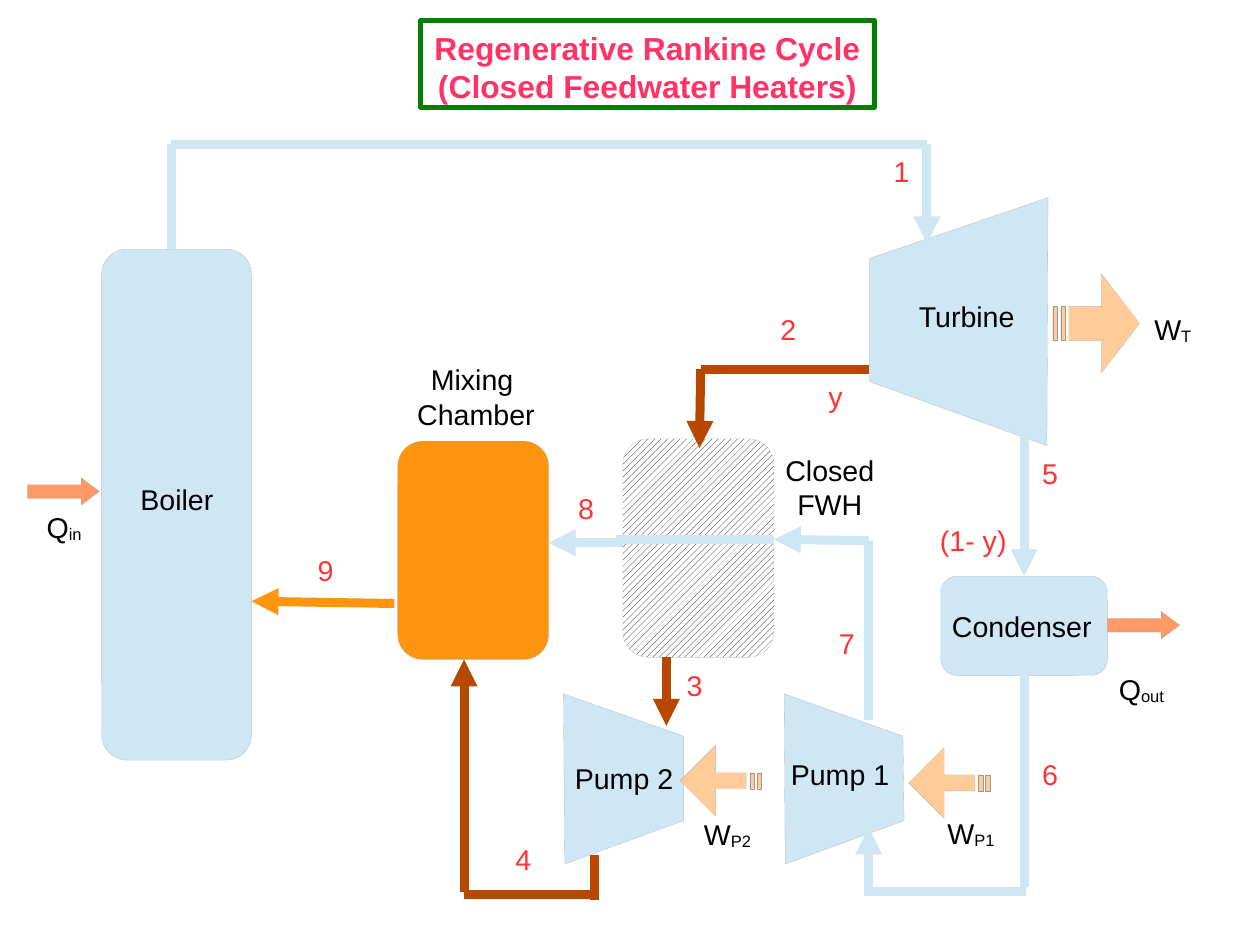
import pptx
import pptx.util
import pptx.dml.color
import pptx.enum.dml
import pptx.enum.shapes
import pptx.enum.text
import pptx.oxml.ns
import lxml.etree

PX = 9144  # 100 px to the inch
FONT = "Arial"
COLORS = {
    "steam": "CFE7F5", "bleed": "B84700", "mix": "FF950E", "work": "FFCC99",
    "heat": "FF9966", "edge": "999999", "state": "FF3333", "text": "000000",
    "title": "FF3366", "frame": "008000", "white": "FFFFFF",
}
KIND = pptx.enum.shapes.MSO_SHAPE


def rgb(name):
    return pptx.dml.color.RGBColor.from_string(COLORS[name])


def pipe(color, x1, y1, x2, y2, arrow):
    line = shapes.add_connector(
        pptx.enum.shapes.MSO_CONNECTOR.STRAIGHT, x1 * PX, y1 * PX, x2 * PX, y2 * PX)
    line.line.color.rgb = rgb(color)
    line.line.width = pptx.util.Pt(5.67)
    if arrow:
        stroke = line.line._get_or_add_ln()
        lxml.etree.SubElement(stroke, pptx.oxml.ns.qn("a:tailEnd"), type="triangle")
    lxml.etree.SubElement(line._element.spPr, pptx.oxml.ns.qn("a:effectLst"))
    return line


deck = pptx.Presentation()
deck.slide_width = pptx.util.Cm(28)
deck.slide_height = pptx.util.Cm(21)
slide = deck.slides.add_slide(deck.slide_layouts[5])
shapes = slide.shapes

# Title
title = shapes.title
title.left, title.top, title.width, title.height = 368 * PX, 18 * PX, 397 * PX, 76 * PX
title.line.color.rgb = rgb("frame")
title.line.width = pptx.util.Pt(2.83)
frame = title.text_frame
frame.text = "Regenerative Rankine Cycle\n(Closed Feedwater Heaters)"
frame.word_wrap = False
frame.auto_size = pptx.enum.text.MSO_AUTO_SIZE.NONE
frame.vertical_anchor = pptx.enum.text.MSO_ANCHOR.TOP
frame.margin_left = frame.margin_right = 12 * PX
frame.margin_top = frame.margin_bottom = 7 * PX
for para in frame.paragraphs:
    para.alignment = pptx.enum.text.PP_ALIGN.CENTER
    para.font.name = FONT
    para.font.size = pptx.util.Pt(20)
    para.font.bold = True
    para.font.color.rgb = rgb("title")

# Vessels and heat arrows
parts = {}
for name, kind, color, x, y, w, h in [
    ("boiler", KIND.ROUNDED_RECTANGLE, "steam", 89, 218, 131, 447),
    ("mixer", KIND.ROUNDED_RECTANGLE, "mix", 348, 386, 132, 191),
    ("heater", KIND.ROUNDED_RECTANGLE, "white", 545, 384, 132, 191),
    ("cooler", KIND.ROUNDED_RECTANGLE, "steam", 823, 504, 146, 87),
    ("heat in", KIND.RIGHT_ARROW, "heat", 24, 418, 63, 24),
    ("heat out", KIND.RIGHT_ARROW, "heat", 969, 535, 63, 24),
]:
    part = shapes.add_shape(kind, x * PX, y * PX, w * PX, h * PX)
    if kind == KIND.RIGHT_ARROW:
        part.adjustments[1] = 0.667
    part.fill.solid()
    part.fill.fore_color.rgb = rgb(color)
    parts[name] = part
hatch = parts["heater"].fill
hatch.patterned()
hatch.pattern = pptx.enum.dml.MSO_PATTERN.WIDE_UPWARD_DIAGONAL
hatch.fore_color.rgb = rgb("text")
hatch.back_color.rgb = rgb("white")

# Turbine and pumps
for name, points in [
    ("turbine", [(917, 173), (916, 390), (761, 334), (761, 226)]),
    ("pump 1", [(687, 756), (686, 607), (790, 644), (791, 718)]),
    ("pump 2", [(494, 756), (493, 607), (598, 644), (598, 718)]),
]:
    path = shapes.build_freeform(*points[0], scale=PX)
    path.add_line_segments(points[1:])
    parts[name] = path.convert_to_shape()
    parts[name].fill.solid()
    parts[name].fill.fore_color.rgb = rgb("steam")

# Striped work arrows: tail, middle, signed length, half head, half shaft
for name, tail, mid, size, head, shaft in [
    ("work T", 921, 283, 76, 43, 15),
    ("work P2", 666, 683, -71, 31, 7),
    ("work P1", 866, 685, -71, 31, 7),
]:
    a, b, c, d, body, neck, tip = [
        tail + size * part for part in (0, 0.05, 0.09, 0.14, 0.18, 0.56, 1)]
    path = shapes.build_freeform(neck, mid - head, scale=PX)
    path.add_line_segments([
        (tip, mid), (neck, mid + head), (neck, mid + shaft),
        (body, mid + shaft), (body, mid - shaft), (neck, mid - shaft)])
    for near, far in [(a, b), (c, d)]:
        path.move_to(near, mid - shaft)
        path.add_line_segments([
            (near, mid + shaft), (far, mid + shaft), (far, mid - shaft)])
    parts[name] = path.convert_to_shape()
    parts[name].fill.solid()
    parts[name].fill.fore_color.rgb = rgb("work")

for part in parts.values():
    part.shadow.inherit = False
    part.line.color.rgb = rgb("edge")
    part.line.width = pptx.util.Pt(0.05)

# Pipes, each drawn along the flow
for color, x1, y1, x2, y2, arrow in [
    ("steam", 150, 218, 150, 126, False),
    ("steam", 150, 126, 811, 126, False),
    ("steam", 811, 126, 811, 213, True),
    ("steam", 898, 780, 756, 780, False),
    ("steam", 760, 776, 760, 724, True),
    ("steam", 760, 630, 760, 473, False),
    ("steam", 760, 473, 677, 472, True),
    ("steam", 677, 472, 539, 472, False),
    ("steam", 545, 475, 480, 475, True),
    ("bleed", 760, 323, 613, 323, False),
    ("bleed", 613, 323, 612, 392, True),
    ("bleed", 583, 575, 583, 635, True),
    ("bleed", 520, 748, 520, 787, False),
    ("bleed", 520, 783, 406, 783, False),
    ("bleed", 406, 780, 406, 577, True),
    ("mix", 345, 528, 220, 526, True),
]:
    pipe(color, x1, y1, x2, y2, arrow)
pipe("steam", 896, 378, 896, 504, True).end_connect(parts["cooler"], 0)
pipe("steam", 896, 591, 896, 776, False).begin_connect(parts["cooler"], 2)

# Labels: text, subscript, colour, centred, box
for text, sub, color, center, x, y, w, h in [
    ("Condenser", "", "text", False, 823, 528, 142, 42),
    ("Boiler", "", "text", False, 113, 417, 84, 38),
    ("Turbine", "", "text", False, 794, 257, 104, 38),
    ("Pump 1", "", "text", True, 682, 657, 106, 56),
    ("Pump 2", "", "text", True, 493, 661, 106, 56),
    ("Closed\nFWH", "", "text", True, 677, 391, 98, 66),
    ("Mixing \nChamber", "", "text", True, 355, 312, 123, 74),
    ("Q", "in", "text", False, 31, 441, 54, 46),
    ("Q", "out", "text", False, 969, 583, 64, 46),
    ("W", "T", "text", False, 1000, 268, 55, 46),
    ("W", "P2", "text", False, 606, 710, 63, 46),
    ("W", "P1", "text", False, 819, 709, 63, 46),
    ("1", "", "state", False, 772, 130, 31, 51),
    ("2", "", "state", False, 673, 268, 39, 51),
    ("3", "", "state", False, 591, 579, 39, 51),
    ("4", "", "state", False, 441, 732, 47, 47),
    ("5", "", "state", False, 902, 394, 39, 47),
    ("6", "", "state", False, 902, 657, 39, 47),
    ("7", "", "state", False, 724, 543, 39, 47),
    ("8", "", "state", False, 496, 425, 39, 47),
    ("9", "", "state", False, 268, 479, 39, 47),
    ("y", "", "state", True, 714, 327, 34, 51),
    ("(1- y)", "", "state", True, 811, 453, 81, 51),
]:
    frame = shapes.add_textbox(x * PX, y * PX, w * PX, h * PX).text_frame
    frame.text = text
    frame.word_wrap = bool(sub) or color == "state"
    for para in frame.paragraphs:
        if center:
            para.alignment = pptx.enum.text.PP_ALIGN.CENTER
        para.font.name = FONT
        para.font.size = pptx.util.Pt(18)
        para.font.color.rgb = rgb(color)
    if sub:
        run = frame.paragraphs[0].add_run()
        run.text = sub
        run._r.get_or_add_rPr().set("baseline", "-8000")

deck.save("out.pptx")
